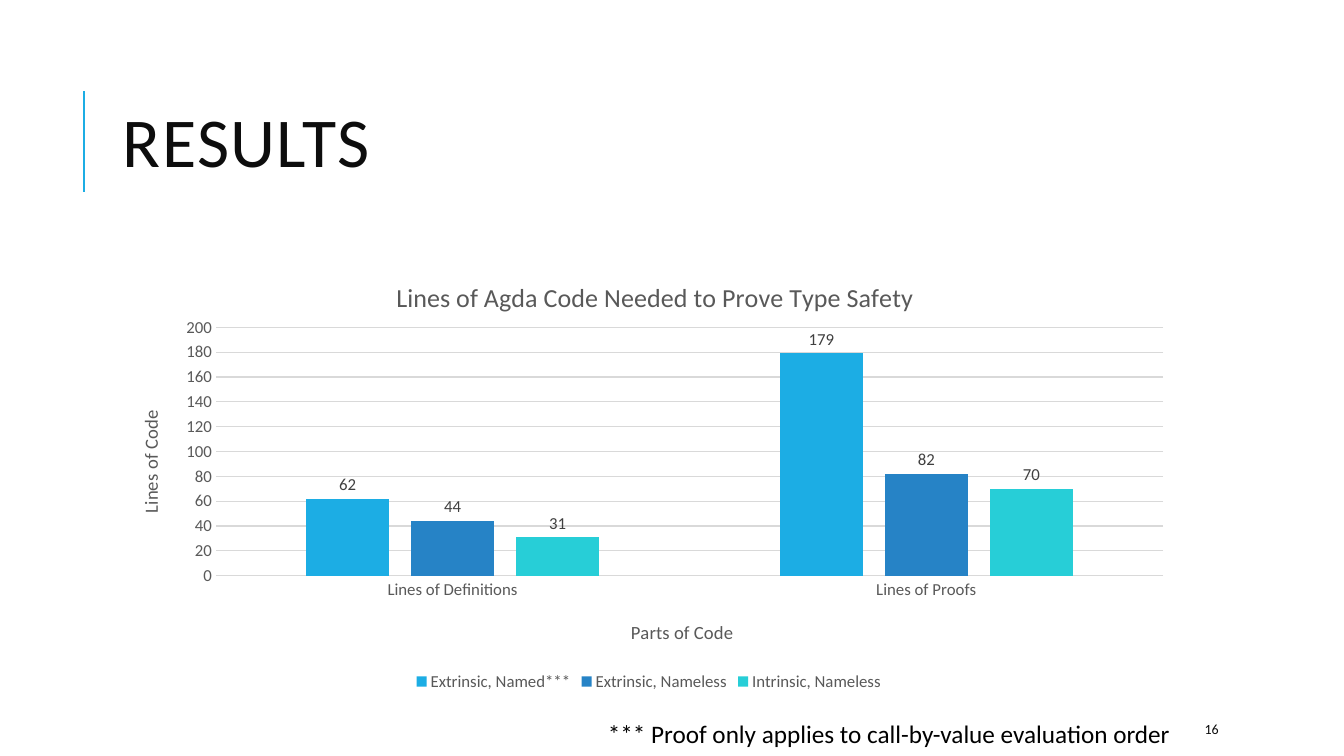
"""Build the results slide with a clustered column chart of lines of code."""
from dataclasses import dataclass

from lxml.etree import SubElement
from pptx import Presentation
from pptx.chart.data import CategoryChartData
from pptx.dml.color import RGBColor
from pptx.enum.chart import XL_CHART_TYPE, XL_LABEL_POSITION, XL_LEGEND_POSITION, XL_TICK_MARK
from pptx.enum.shapes import MSO_CONNECTOR
from pptx.enum.text import MSO_ANCHOR
from pptx.oxml import parse_xml
from pptx.oxml.ns import nsdecls, qn
from pptx.util import Pt


@dataclass(frozen=True)
class Theme:
    font: str = "Calibri"
    accent: str = "1CADE4"
    series: tuple = ("1CADE4", "2683C6", "27CED7")
    heading: str = "0D0D0D"
    note: str = "000000"
    chart_text: str = "595959"
    label: str = "404040"
    grid: str = "D9D9D9"
    heading_size: float = 50
    note_size: float = 18
    number_size: float = 10
    chart_title_size: float = 18.6
    axis_title_size: float = 13.3
    chart_size: float = 12


theme = Theme()
PX = 9144


def style(font, size, color):
    font.name = theme.font
    font.size = Pt(size)
    font.bold = False
    font.color.rgb = RGBColor.from_string(color)


def place(element, index, **fractions):
    for layout in element.findall(qn("c:layout")):
        element.remove(layout)
    layout = parse_xml(f"<c:layout {nsdecls('c')}/>")
    manual = SubElement(layout, qn("c:manualLayout"))
    if "w" in fractions:
        SubElement(manual, qn("c:layoutTarget")).set("val", "inner")
    for side in "xy":
        SubElement(manual, qn(f"c:{side}Mode")).set("val", "edge")
    for name, fraction in fractions.items():
        SubElement(manual, qn(f"c:{name}")).set("val", str(fraction))
    element.insert(index, layout)


presentation = Presentation()
presentation.slide_width = 1333 * PX
presentation.slide_height = 750 * PX
slide = presentation.slides.add_slide(presentation.slide_layouts[6])

accent_line = slide.shapes.add_connector(
    MSO_CONNECTOR.STRAIGHT, 83 * PX, 190 * PX, 83 * PX, 90 * PX)
accent_line.line.color.rgb = RGBColor.from_string(theme.accent)
accent_line.line.width = Pt(1.5)
SubElement(accent_line.element.spPr, qn("a:effectLst"))

texts = [
    ("RESULTS", (112, 64, 1063, 164), theme.heading_size, theme.heading, MSO_ANCHOR.MIDDLE, True),
    ("16", (1185, 708, 106, 30), theme.number_size, theme.heading, MSO_ANCHOR.MIDDLE, True),
    ("*** Proof only applies to call-by-value evaluation order",
     (593, 708, 582, 40), theme.note_size, theme.note, MSO_ANCHOR.TOP, False),
]
for text, box, size, color, anchor, wrap in texts:
    shape = slide.shapes.add_textbox(*(length * PX for length in box))
    shape.text_frame.text = text
    shape.text_frame.word_wrap = wrap
    shape.text_frame.vertical_anchor = anchor
    paragraph = shape.text_frame.paragraphs[0]
    run = paragraph.runs[0]
    style(run.font, size, color)
    if size == theme.heading_size:
        paragraph.line_spacing = 0.8
        run.font._element.set("spc", "100")

chart_data = CategoryChartData()
chart_data.categories = ["Lines of Definitions", "Lines of Proofs"]
chart_data.add_series("Extrinsic, Named***", (62, 179))
chart_data.add_series("Extrinsic, Nameless", (44, 82))
chart_data.add_series("Intrinsic, Nameless", (31, 70))
chart = slide.shapes.add_chart(
    XL_CHART_TYPE.COLUMN_CLUSTERED, 112 * PX, 250 * PX, 1063 * PX, 440 * PX, chart_data).chart
style(chart.font, theme.chart_size, theme.chart_text)

category_axis, value_axis = chart.category_axis, chart.value_axis
titles = [
    (chart.chart_title, "Lines of Agda Code Needed to Prove Type Safety",
     theme.chart_title_size, 0.26, 0.05),
    (category_axis.axis_title, "Parts of Code", theme.axis_title_size, 0.48, 0.82),
    (value_axis.axis_title, "Lines of Code", theme.axis_title_size, 0.02, 0.35),
]
for title, text, size, x, y in titles:
    title.text_frame.text = text
    style(title.text_frame.paragraphs[0].runs[0].font, size, theme.chart_text)
    place(title.element, 1, x=x, y=y)
body = value_axis.axis_title.element.find(".//" + qn("a:bodyPr"))
body.set("rot", "-5400000")
body.set("vert", "horz")
place(chart.element.find(".//" + qn("c:plotArea")), 0, x=0.096, y=0.17, w=0.884, h=0.56)

for axis in (category_axis, value_axis):
    axis.major_tick_mark = XL_TICK_MARK.NONE
    axis.minor_tick_mark = XL_TICK_MARK.NONE
    style(axis.tick_labels.font, theme.chart_size, theme.chart_text)
value_axis.minimum_scale = 0
value_axis.maximum_scale = 200
value_axis.major_unit = 20
value_axis.format.line.fill.background()
for line in (category_axis.format.line, value_axis.major_gridlines.format.line):
    line.color.rgb = RGBColor.from_string(theme.grid)
    line.width = Pt(0.75)

chart.has_legend = True
chart.legend.position = XL_LEGEND_POSITION.BOTTOM
chart.legend.include_in_layout = False
style(chart.legend.font, theme.chart_size, theme.chart_text)

plot = chart.plots[0]
plot.gap_width = 219
plot.overlap = -27
plot.vary_by_categories = False
for series, color in zip(plot.series, theme.series):
    series.format.fill.solid()
    series.format.fill.fore_color.rgb = RGBColor.from_string(color)
    labels = series.data_labels
    labels.show_value = True
    labels.position = XL_LABEL_POSITION.OUTSIDE_END
    style(labels.font, theme.chart_size, theme.label)

presentation.save("out.pptx")
